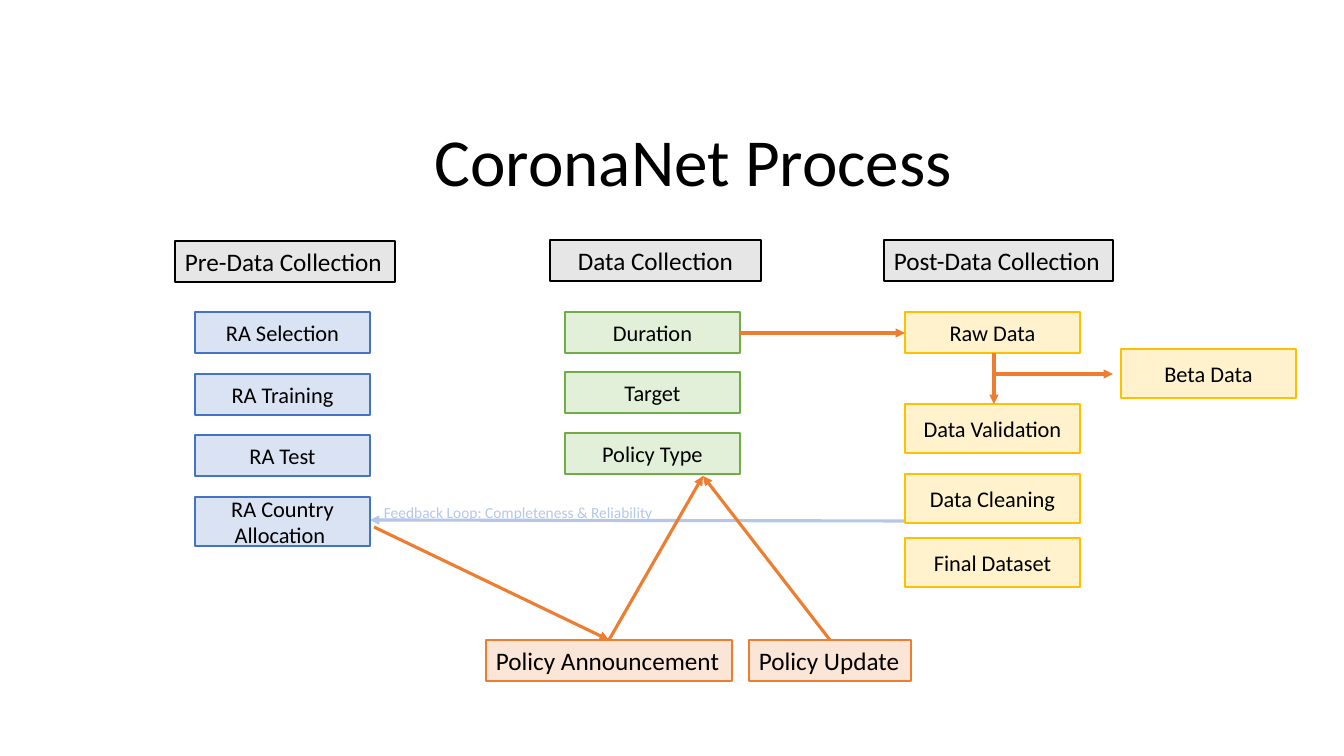
"""Build the CoronaNet Process flow slide."""
from lxml import etree
from pptx import Presentation, util as u
from pptx.dml.color import RGBColor
from pptx.enum import shapes, text
from pptx.oxml.ns import qn

PX = 914400 / 100.8
FONT, BLACK = "Calibri", "000000"
ORANGE, PALE_BLUE = "ED7D31", "B4C7E7"
LEFT, CENTER = text.PP_ALIGN.LEFT, text.PP_ALIGN.CENTER
TOP, MIDDLE, BOTTOM = text.MSO_ANCHOR.TOP, text.MSO_ANCHOR.MIDDLE, text.MSO_ANCHOR.BOTTOM
STEP_W, LOW, HIGH = 175, 41, 49

HEADING_STYLE = ("E7E6E6", BLACK)
POLICY_STYLE = ("FBE5D6", ORANGE)
LABELS = [
    ("Pre-Data Collection", 175, 241, 220, LEFT, HEADING_STYLE),
    ("Data Collection", 550, 240, 211, CENTER, HEADING_STYLE),
    ("Post-Data Collection", 884, 240, 229, LEFT, HEADING_STYLE),
    ("Policy Announcement", 486, 640, 246, LEFT, POLICY_STYLE),
    ("Policy Update", 749, 640, 162, LEFT, POLICY_STYLE),
]
COLUMNS = [
    (195, ("DAE3F3", "4472C4"), [
        ("RA Selection", 312, LOW), ("RA Training", 374, LOW),
        ("RA Test", 435, LOW), ("RA Country Allocation ", 497, HIGH)]),
    (565, ("E2F0D9", "70AD47"), [
        ("Duration", 312, LOW), ("Target", 372, LOW), ("Policy Type", 433, LOW)]),
    (905, ("FFF2CC", "FFC000"), [
        ("Raw Data", 312, LOW), ("Data Validation", 404, HIGH),
        ("Data Cleaning", 474, HIGH), ("Final Dataset", 538, HIGH)]),
    (1121, ("FFF2CC", "FFC000"), [("Beta Data", 349, HIGH)]),
]
FEEDBACK = (911, 521, 370, 520)
ARROWS = [
    (374, 527, 609, 640),
    (609, 640, 703, 476),
    (830, 640, 703, 476),
    (740, 333, 905, 333),
    (994, 353, 994, 404),
    (994, 374, 1113, 374),
]


def px(n):
    return u.Emu(round(n * PX))


def rgb(value):
    return RGBColor.from_string(value)


def write(sp, words, size, color=BLACK, align=CENTER, anchor=MIDDLE, wrap=True):
    tf = sp.text_frame
    tf.word_wrap = wrap
    tf.vertical_anchor = anchor
    p = tf.paragraphs[0]
    p.alignment = align
    r = p.add_run()
    r.text = words
    r.font.name = FONT
    r.font.size = u.Pt(size)
    r.font.color.rgb = rgb(color)
    return p


def add_box(s, x, y, w, h, style):
    sp = s.shapes.add_shape(shapes.MSO_SHAPE.RECTANGLE, px(x), px(y), px(w), px(h))
    fill, line = style
    sp.shadow.inherit = False
    sp.fill.solid()
    sp.fill.fore_color.rgb = rgb(fill)
    sp.line.color.rgb = rgb(line)
    sp.line.width = u.Pt(1)
    return sp


def add_arrow(s, ends, color):
    cx = s.shapes.add_connector(shapes.MSO_CONNECTOR.STRAIGHT, *map(px, ends))
    cx.line.color.rgb = rgb(color)
    cx.line.width = u.Pt(2.25)
    etree.SubElement(cx.line._get_or_add_ln(), qn("a:tailEnd"), type="triangle")
    etree.SubElement(cx._element.spPr, qn("a:effectLst"))


prs = Presentation()
prs.slide_width, prs.slide_height = px(1344), px(756)
s = prs.slides.add_slide(prs.slide_layouts[6])

add_arrow(s, FEEDBACK, PALE_BLUE)

for words, x, y, w, align, style in LABELS:
    sp = add_box(s, x, y, w, LOW, style)
    write(sp, words, 18, align=align, anchor=TOP, wrap=align == CENTER)

for x, style, steps in COLUMNS:
    for words, y, h in steps:
        write(add_box(s, x, y, STEP_W, h, style), words, 16)

for ends in ARROWS:
    add_arrow(s, ends, ORANGE)

note = s.shapes.add_textbox(px(374), px(498), px(290), px(29))
write(note, "Feedback Loop: Completeness & Reliability", 11, PALE_BLUE, LEFT, TOP, False)

title = s.shapes.add_textbox(px(114), px(60), px(1159), px(146))
write(title, "CoronaNet Process", 48, anchor=BOTTOM).line_spacing = 0.9

prs.save("out.pptx")
